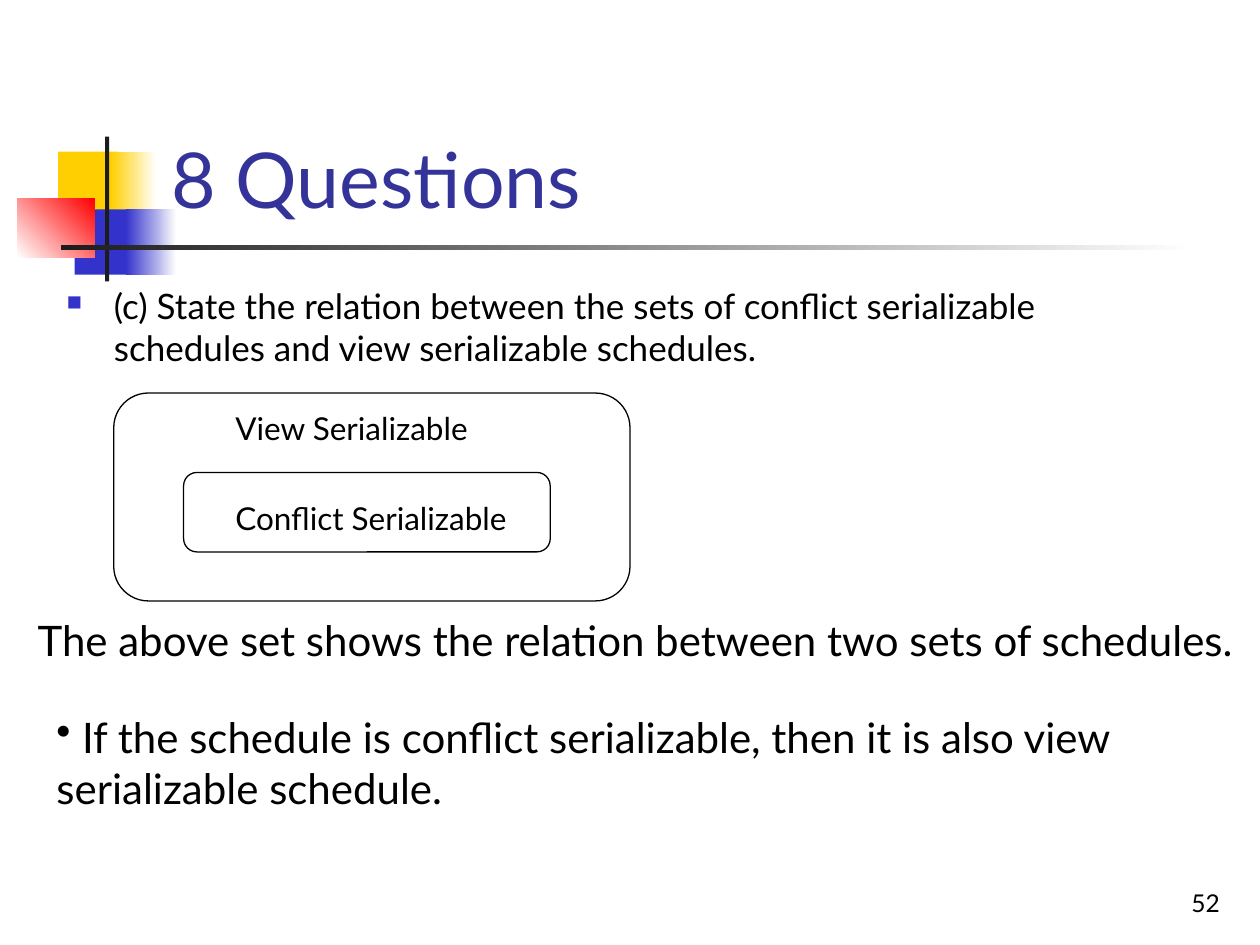
from lxml import etree
from pptx import Presentation
from pptx.dml.color import RGBColor
from pptx.enum import shapes, text
from pptx.oxml.ns import qn
from pptx.util import Pt

FONT = "Lato"
BLACK = RGBColor(0, 0, 0)
WHITE = RGBColor(0xFF, 0xFF, 0xFF)
GOLD = RGBColor(0xFF, 0xCF, 0x01)
BLUE = RGBColor(0x33, 0x33, 0xCC)
RED = RGBColor(0xFF, 0, 0)
DARK = RGBColor(0x1C, 0x1C, 0x1C)
NAVY = RGBColor(0x33, 0x33, 0x99)

deck = Presentation()
deck.slide_width, deck.slide_height = Pt(720), Pt(540)
slide = deck.slides.add_slide(deck.slide_layouts[5])
items = slide.shapes


def write(frame, words, size, color=BLACK, wrap=True):
    frame.text = words
    frame.word_wrap = wrap
    para = frame.paragraphs[0]
    font = para.runs[0].font
    font.name, font.size, font.color.rgb = FONT, Pt(size), color
    return para


def bullet(para, mark, indent=0, color=None, scale=None):
    props = para._p.get_or_add_pPr()
    props.set("marL", str(Pt(indent)))
    props.set("indent", str(-Pt(indent)))
    if color is not None:
        holder = etree.SubElement(props, qn("a:buClr"))
        etree.SubElement(holder, qn("a:srgbClr"), val=str(color))
    if scale:
        etree.SubElement(props, qn("a:buSzPct"), val=str(scale * 1000))
    etree.SubElement(props, qn("a:buChar"), char=mark)


# Corner squares and rules: box, start colour, end colour, angle
for box, start, end, angle in [
    ((33.2, 86.6, 34.5, 37.4), GOLD, None, 0),
    ((63.4, 86.6, 25.9, 37.4), GOLD, WHITE, 0),
    ((42.6, 119.6, 33.1, 37.4), BLUE, None, 0),
    ((72, 119.6, 28.8, 37.4), BLUE, WHITE, 0),
    ((9.9, 113.6, 44.3, 33.4), WHITE, RED, 45),
    ((60, 78, 2.4, 82.8), DARK, None, 0),
    ((34.8, 140.2, 648, 2.4), DARK, WHITE, 0),
]:
    block = items.add_shape(shapes.MSO_SHAPE.RECTANGLE, *map(Pt, box))
    block.shadow.inherit = False
    block.line.fill.background()
    if end is None:
        block.fill.solid()
        block.fill.fore_color.rgb = start
    else:
        block.fill.gradient()
        block.fill.gradient_angle = angle
        for stop, color in zip(block.fill.gradient_stops, (start, end)):
            stop.color.rgb = color

# Title, raised above the decoration
title = items.title
title.left, title.top, title.width, title.height = map(Pt, (90.7, 16.6, 613.4, 115.2))
para = write(title.text_frame, "8 Questions", 44, NAVY)
para.alignment = text.PP_ALIGN.LEFT
title.text_frame.vertical_anchor = text.MSO_ANCHOR.BOTTOM
title.text_frame.auto_size = text.MSO_AUTO_SIZE.NONE
items._spTree.append(title._element)

# Question
body = items.add_textbox(*map(Pt, (31, 159.1, 646.6, 94.3)))
para = write(body.text_frame, "(c) State the relation between the sets of conflict serializable "
             "schedules and view serializable schedules.", 20)
bullet(para, "■", 27, BLUE, 60)

# Nested sets
for box in [(65, 224.6, 295, 118.8), (104.9, 270, 209.5, 45.4)]:
    ring = items.add_shape(shapes.MSO_SHAPE.ROUNDED_RECTANGLE, *map(Pt, box))
    ring.shadow.inherit = False
    ring.fill.background()
    ring.line.color.rgb = BLACK
    ring.line.width = Pt(0.75)

# Set names and answer: box, words, size, wrap, bullet
for box, words, size, wrap, mark in [
    ((127.4, 281.5, 170, 28.8), "Conflict Serializable", 18, True, None),
    ((127.4, 230.4, 170, 28.8), "View Serializable", 18, True, None),
    ((25.2, 403.2, 652.3, 65.5), " If the schedule is conflict serializable, then it is "
     "also view serializable schedule.", 24, True, "•"),
    ((14.4, 347.8, 712.1, 36.7), "The above set shows the relation between two sets of "
     "schedules.", 24, False, None),
]:
    label = items.add_textbox(*map(Pt, box))
    para = write(label.text_frame, words, size, wrap=wrap)
    label.text_frame.auto_size = text.MSO_AUTO_SIZE.SHAPE_TO_FIT_TEXT
    if mark:
        bullet(para, mark)

# Slide number
number = items.add_textbox(*map(Pt, (554.4, 491.8, 149.8, 36)))
para = write(number.text_frame, "52", 14)
para.alignment = text.PP_ALIGN.RIGHT
number.text_frame.vertical_anchor = text.MSO_ANCHOR.BOTTOM

deck.save("out.pptx")
